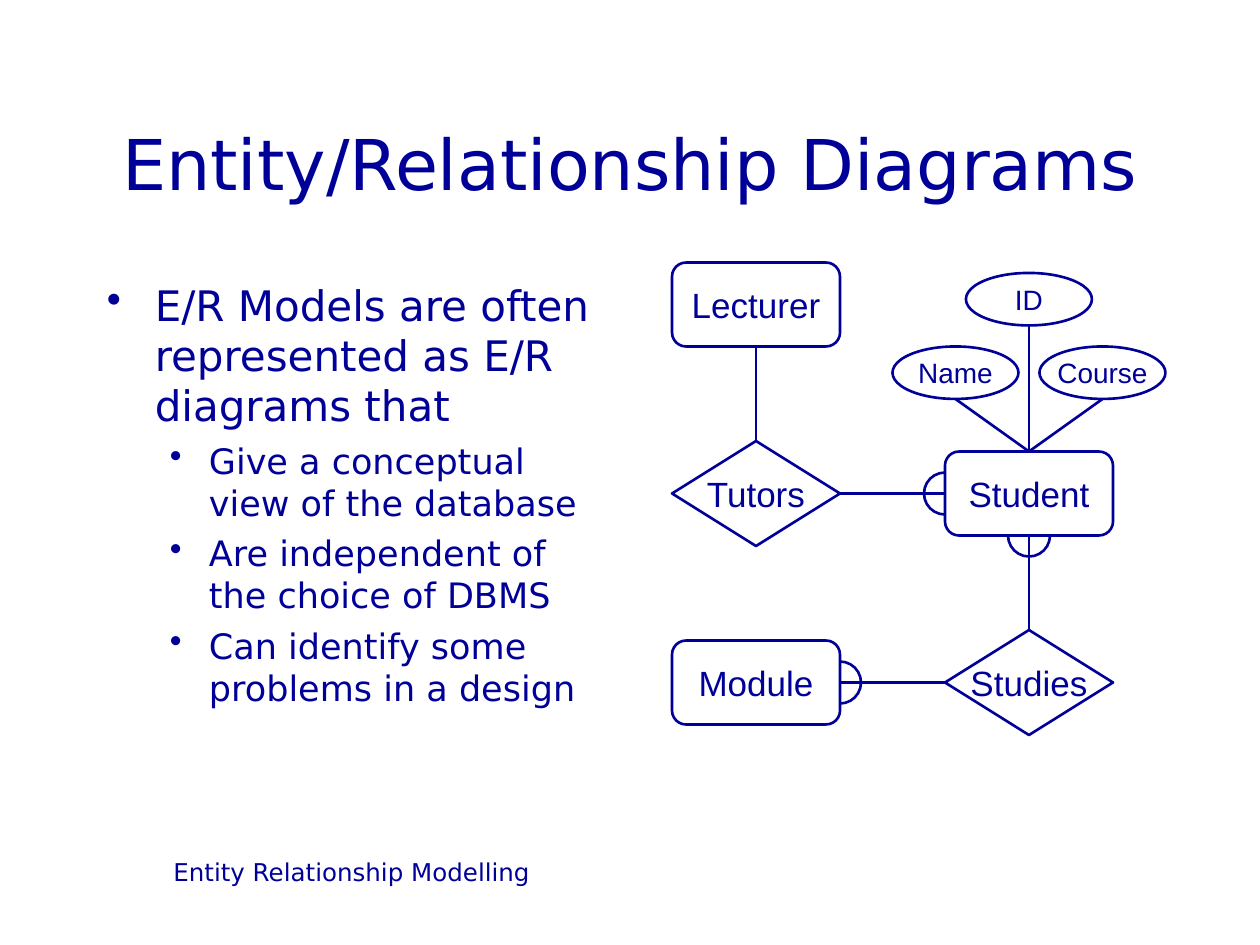
from lxml.etree import SubElement
from pptx import Presentation
from pptx.dml.color import RGBColor
from pptx.enum.shapes import MSO_CONNECTOR, MSO_SHAPE
from pptx.enum.text import MSO_ANCHOR, MSO_AUTO_SIZE, PP_ALIGN
from pptx.oxml.ns import qn
from pptx.util import Inches, Pt

UNITS_PER_INCH = 12


def units(value):
    """Turn grid units into a length."""
    return Inches(value / UNITS_PER_INCH)


def color(code):
    """Turn a hex string into a colour."""
    return RGBColor.from_string(code)


def assign(target, values):
    """Set attributes of an object from a dict."""
    for name, value in values.items():
        setattr(target, name, value)


class DiagramSlide:
    """Holds the style and the current slide."""

    ink = "000099"
    text_font = "DejaVu Sans"
    label_font = "Arial"
    line_width = Pt(1.5)

    def __init__(self, presentation):
        """Add a title-only slide."""
        self.slide = presentation.slides.add_slide(presentation.slide_layouts[5])
        self.shapes = self.slide.shapes

    def add_text(self, paragraph, text, size, font, **paragraph_format):
        """Add one formatted run to a paragraph."""
        assign(paragraph, paragraph_format)
        run = paragraph.add_run()
        run.text = text
        assign(run.font, {"name": font, "size": Pt(size)})
        run.font.color.rgb = color(self.ink)

    def place(self, shape, left, top, width, height):
        """Move and size a shape in grid units."""
        assign(shape, {"left": units(left), "top": units(top),
                       "width": units(width), "height": units(height)})

    def title(self, text, size, *box):
        """Fill and move the title placeholder."""
        shape = self.shapes.title
        self.place(shape, *box)
        assign(shape.text_frame, {"auto_size": MSO_AUTO_SIZE.NONE, "word_wrap": True,
                                  "vertical_anchor": MSO_ANCHOR.MIDDLE})
        self.add_text(shape.text_frame.paragraphs[0], text, size, self.text_font,
                      alignment=PP_ALIGN.CENTER)

    def text_box(self, *box):
        """Add a wrapping text box and return its text frame."""
        frame = self.shapes.add_textbox(*map(units, box)).text_frame
        frame.word_wrap = True
        return frame

    def footer(self, text, size, *box):
        """Add the centred footer line."""
        self.add_text(self.text_box(*box).paragraphs[0], text, size, self.text_font,
                      alignment=PP_ALIGN.CENTER)

    def bullets(self, items, levels, *box):
        """Add a bullet list of (level, text) items."""
        frame = self.text_box(*box)
        for index, (level, text) in enumerate(items):
            paragraph = frame.add_paragraph() if index else frame.paragraphs[0]
            size, space, margin, hanging = levels[level]
            self.add_text(paragraph, text, size, self.text_font, level=level,
                          space_before=Pt(space))
            properties = paragraph._p.get_or_add_pPr()
            properties.set("marL", str(Inches(margin)))
            properties.set("indent", str(-Inches(hanging)))
            SubElement(properties, qn("a:buChar")).set("char", "•")

    def outline(self, preset, center, width, height):
        """Add an unfilled shape around a centre point."""
        x, y = center
        shape = self.shapes.add_shape(preset, units(x - width / 2), units(y - height / 2),
                                      units(width), units(height))
        shape.shadow.inherit = False
        shape.fill.background()
        shape.line.color.rgb = color(self.ink)
        shape.line.width = self.line_width
        return shape

    def node(self, text, center, preset, width, height, size):
        """Add a labelled diagram node."""
        frame = self.outline(preset, center, width, height).text_frame
        assign(frame, {"word_wrap": False, "vertical_anchor": MSO_ANCHOR.MIDDLE})
        self.add_text(frame.paragraphs[0], text, size, self.label_font,
                      alignment=PP_ALIGN.CENTER)

    def half_circle(self, center, start, end):
        """Add a "many" mark, with clockwise angles in degrees."""
        arc = self.outline(MSO_SHAPE.ARC, center, 4, 4)
        for index, angle in enumerate((start, end)):
            arc.adjustments[index] = angle * 0.6

    def link(self, start, end):
        """Join two grid points with a straight line."""
        line = self.shapes.add_connector(MSO_CONNECTOR.STRAIGHT, *map(units, start + end))
        line.line.color.rgb = color(self.ink)
        line.line.width = self.line_width
        SubElement(line._element.spPr, qn("a:effectLst"))


def build():
    """Build the entity/relationship slide."""
    presentation = Presentation()
    assign(presentation, {"slide_width": Inches(10), "slide_height": Inches(7.5)})
    slide = DiagramSlide(presentation)

    slide.footer("Entity Relationship Modelling", 14, 9, 81, 49, 6)
    slide.title("Entity/Relationship Diagrams", 40, 9, 8, 102, 15)
    slide.bullets([
        (0, "E/R Models are often represented as E/R diagrams that"),
        (1, "Give a conceptual view of the database"),
        (1, "Are independent of the choice of DBMS"),
        (1, "Can identify some problems in a design"),
    ], [(24, 6, 0.38, 0.38), (20, 5, 0.81, 0.31)], 9, 26, 50, 54)

    left, right = 72, 98
    upper, middle, lower = 29, 47, 65
    entity = (MSO_SHAPE.ROUNDED_RECTANGLE, 16, 8, 20)
    relationship = (MSO_SHAPE.DIAMOND, 16, 10, 20)
    attribute = (MSO_SHAPE.OVAL, 12, 5, 16)
    for text, center, style in [
        ("Student", (right, middle), entity),
        ("Lecturer", (left, upper), entity),
        ("Module", (left, lower), entity),
        ("Tutors", (left, middle), relationship),
        ("Studies", (right, lower), relationship),
        ("ID", (right, 28.5), attribute),
        ("Course", (right + 7, 35.5), attribute),
        ("Name", (right - 7, 35.5), attribute),
    ]:
        slide.node(text, center, *style)

    student_top, student_bottom = middle - 4, middle + 4
    inner_left, inner_right = left + 8, right - 8
    for start, end in [
        ((left, upper + 4), (left, middle - 5)),
        ((inner_left, middle), (inner_right, middle)),
        ((right, student_bottom), (right, lower - 5)),
        ((inner_left, lower), (inner_right, lower)),
        ((right, student_top), (right + 7, 38)),
        ((right, student_top), (right, 31)),
        ((right, student_top), (right - 7, 38)),
    ]:
        slide.link(start, end)

    slide.half_circle((inner_left, lower), 270, 90)
    slide.half_circle((inner_right, middle), 90, 270)
    slide.half_circle((right, student_bottom), 0, 180)
    presentation.save("out.pptx")


build()
